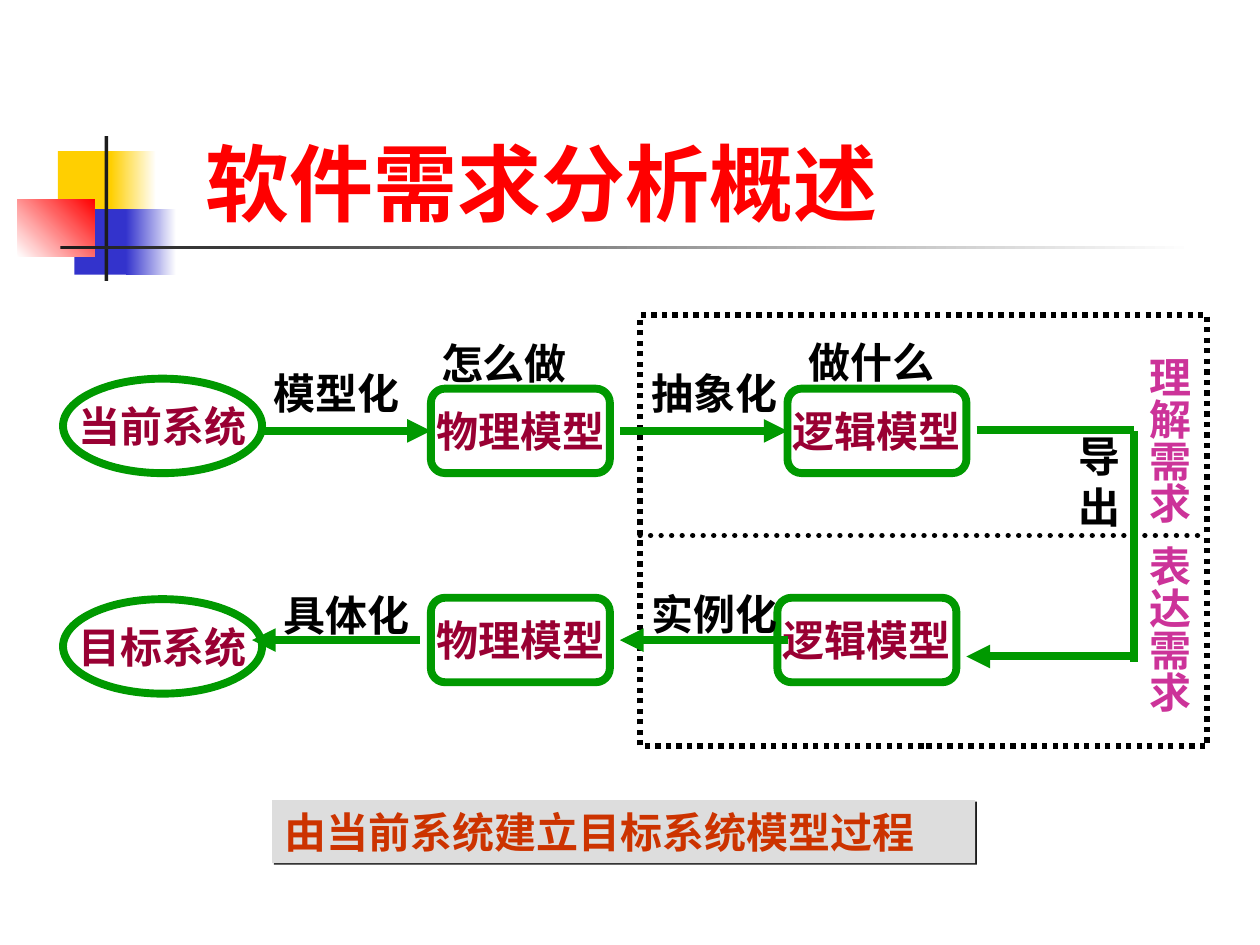
from dataclasses import dataclass
from typing import Optional

from lxml import etree
from pptx import Presentation
from pptx.dml.color import RGBColor
from pptx.enum import dml, shapes, text
from pptx.oxml.ns import qn
from pptx.util import Inches, Pt


@dataclass(frozen=True)
class Theme:
    font: str = "Lato"
    title_font: str = "Noto Sans CJK SC"
    title_size: int = 48
    size: int = 24
    border: float = 4.5
    dots: float = 3
    title: str = "FF0000"
    green: str = "009900"
    node: str = "990033"
    black: str = "000000"
    pink: str = "CC3399"
    caption: str = "CC3300"
    panel: str = "DDDDDD"
    yellow: str = "FFCF01"
    blue: str = "3333CC"
    dark: str = "1C1C1C"
    white: str = "FFFFFF"


@dataclass(frozen=True)
class Block:
    """Decorative rectangle; a second colour makes it a gradient."""
    x: float
    y: float
    w: float
    h: float
    color: str
    fade: Optional[str] = None
    angle: float = 0


@dataclass(frozen=True)
class Node:
    label: str
    kind: shapes.MSO_SHAPE
    x: float
    mid: float
    w: float
    h: float


@dataclass(frozen=True)
class Label:
    label: str
    x: float
    y: float
    w: float = 1.08
    h: float = 0.4
    color: str = Theme.black
    vertical: bool = False


T = Theme()
OVAL, BOX = shapes.MSO_SHAPE.OVAL, shapes.MSO_SHAPE.ROUNDED_RECTANGLE
TOP, BOTTOM = 3.42, 5.08  # centre lines of the two model rows
RIGHT = 9  # bend of the derivation path

BLOCKS = [
    Block(0.46, 1.2, 0.48, 0.52, T.yellow),
    Block(0.88, 1.2, 0.36, 0.52, T.yellow, T.white),
    Block(0.59, 1.66, 0.46, 0.52, T.blue),
    Block(1, 1.66, 0.4, 0.52, T.blue, T.white),
    Block(0.14, 1.58, 0.61, 0.46, T.white, T.title, 45),
    Block(0.83, 1.08, 0.03, 1.15, T.dark),
    Block(0.48, 1.95, 9, 0.03, T.dark, T.white),
]
NODES = {
    "current": Node("当前系统", OVAL, 0.5, 3.38, 1.58, 0.75),
    "target": Node("目标系统", OVAL, 0.5, 5.13, 1.58, 0.75),
    "physical": Node("物理模型", BOX, 3.42, TOP, 1.42, 0.67),
    "logical": Node("逻辑模型", BOX, 6.25, TOP, 1.42, 0.67),
    "new physical": Node("物理模型", BOX, 3.42, BOTTOM, 1.42, 0.67),
    "new logical": Node("逻辑模型", BOX, 6.17, BOTTOM, 1.42, 0.67),
}
LABELS = [
    Label("模型化", 2.17, 2.92),
    Label("怎么做", 3.5, 2.68),
    Label("抽象化", 5.17, 2.92),
    Label("做什么", 6.42, 2.67),
    Label("具体化", 2.25, 4.68),
    Label("实例化", 5.17, 4.67),
    Label("导出", 8.56, 3.42, 0.25, 0.8),
    Label("理解需求", 9.08, 2.83, 0.4, 1.58, T.pink, True),
    Label("表达需求", 9.08, 4.33, 0.4, 1.58, T.pink, True),
]


def rgb(color: str) -> RGBColor:
    return RGBColor.from_string(color)


def add_shape(s, kind, x, y, w, h):
    sp = s.shapes.add_shape(kind, Inches(x), Inches(y), Inches(w), Inches(h))
    sp.shadow.inherit = False
    sp.fill.background()
    sp.line.fill.background()
    return sp


def write(tf, words: str, color: str, size: int = T.size, font: str = T.font,
          align=text.PP_ALIGN.LEFT) -> None:
    tf.text = words
    p = tf.paragraphs[0]
    p.alignment = align
    p.font.name, p.font.size, p.font.bold = font, Pt(size), True
    p.font.color.rgb = rgb(color)


def draw_block(s, b: Block) -> None:
    fill = add_shape(s, shapes.MSO_SHAPE.RECTANGLE, b.x, b.y, b.w, b.h).fill
    if b.fade is None:
        fill.solid()
        fill.fore_color.rgb = rgb(b.color)
        return
    fill.gradient()
    fill.gradient_angle = b.angle
    for stop, color in zip(fill.gradient_stops, (b.color, b.fade)):
        stop.color.rgb = rgb(color)


def draw_node(s, n: Node):
    sp = add_shape(s, n.kind, n.x, n.mid - n.h / 2, n.w, n.h)
    sp.line.color.rgb = rgb(T.green)
    sp.line.width = Pt(T.border)
    tf = sp.text_frame
    tf.word_wrap = False
    tf.vertical_anchor = text.MSO_ANCHOR.MIDDLE
    write(tf, n.label, T.node, align=text.PP_ALIGN.CENTER)
    return sp


def draw_label(s, lb: Label) -> None:
    tf = s.shapes.add_textbox(Inches(lb.x), Inches(lb.y), Inches(lb.w), Inches(lb.h)).text_frame
    tf.word_wrap = True
    tf.margin_left = tf.margin_right = tf.margin_top = tf.margin_bottom = 0
    if lb.vertical:
        tf._txBody.bodyPr.set("vert", "eaVert")
    write(tf, lb.label, lb.color)


def draw_line(s, x1, y1, x2, y2, color=T.green, width=T.border, arrow=False):
    cx = s.shapes.add_connector(shapes.MSO_CONNECTOR.STRAIGHT,
                                Inches(x1), Inches(y1), Inches(x2), Inches(y2))
    cx.line.color.rgb = rgb(color)
    cx.line.width = Pt(width)
    if arrow:
        etree.SubElement(cx.line._get_or_add_ln(), qn("a:tailEnd"), type="triangle")
    etree.SubElement(cx._element.spPr, qn("a:effectLst"))
    return cx


def draw_frame(s) -> None:
    """Dotted frame, split into understanding and expressing."""
    x, y, w, h = 5.08, 2.5, 4.5, 3.42
    frame = add_shape(s, shapes.MSO_SHAPE.RECTANGLE, x, y, w, h)
    frame.line.color.rgb = rgb(T.black)
    frame.line.width = Pt(T.dots)
    frame.line.dash_style = dml.MSO_LINE.ROUND_DOT
    divider = draw_line(s, x, 4.25, x + w, 4.25, T.black, T.dots)
    divider.line.dash_style = dml.MSO_LINE.ROUND_DOT
    divider.line._get_or_add_ln().set("cap", "rnd")


def draw_caption(s) -> None:
    sp = add_shape(s, shapes.MSO_SHAPE.RECTANGLE, 2.16, 6.35, 5.58, 0.5)
    sp.fill.solid()
    sp.fill.fore_color.rgb = rgb(T.panel)
    effects = sp._element.spPr.find(qn("a:effectLst"))
    shadow = etree.SubElement(effects, qn("a:outerShdw"), dist=str(Pt(1.4)), dir="2700000",
                              algn="ctr", rotWithShape="0")
    etree.SubElement(shadow, qn("a:srgbClr"), val=T.dark)
    sp.text_frame.word_wrap = True
    sp.text_frame.vertical_anchor = text.MSO_ANCHOR.TOP
    write(sp.text_frame, "由当前系统建立目标系统模型过程", T.caption)


def main() -> None:
    prs = Presentation()
    prs.slide_width, prs.slide_height = Inches(10), Inches(7.5)
    s = prs.slides.add_slide(prs.slide_layouts[5])

    # Title and its ornament
    for b in BLOCKS:
        draw_block(s, b)
    title = s.shapes.title
    title.left, title.top, title.width, title.height = map(Inches, (1.53, 0.99, 6.5, 0.9))
    title.text_frame.vertical_anchor = text.MSO_ANCHOR.TOP
    title.text_frame.auto_size = text.MSO_AUTO_SIZE.NONE
    write(title.text_frame, "软件需求分析概述", T.title, T.title_size, T.title_font)

    # Systems and models
    draw_frame(s)
    nodes = {name: draw_node(s, n) for name, n in NODES.items()}

    # Steps from the current system to the target system
    draw_line(s, 2.08, TOP, 3.42, TOP, arrow=True).end_connect(nodes["physical"], 1)
    draw_line(s, 4.92, TOP, 6.25, TOP, arrow=True).end_connect(nodes["logical"], 1)
    draw_line(s, 7.75, 3.41, RIGHT, 3.41)
    draw_line(s, RIGHT, 3.42, RIGHT, 5.25)
    draw_line(s, RIGHT, 5.21, 7.67, 5.21, arrow=True)
    draw_line(s, 6.25, BOTTOM, 4.92, BOTTOM, arrow=True)
    draw_line(s, 3.33, BOTTOM, 2, BOTTOM, arrow=True)

    # Labels and caption
    for lb in LABELS:
        draw_label(s, lb)
    draw_caption(s)
    prs.save("out.pptx")


if __name__ == "__main__":
    main()
